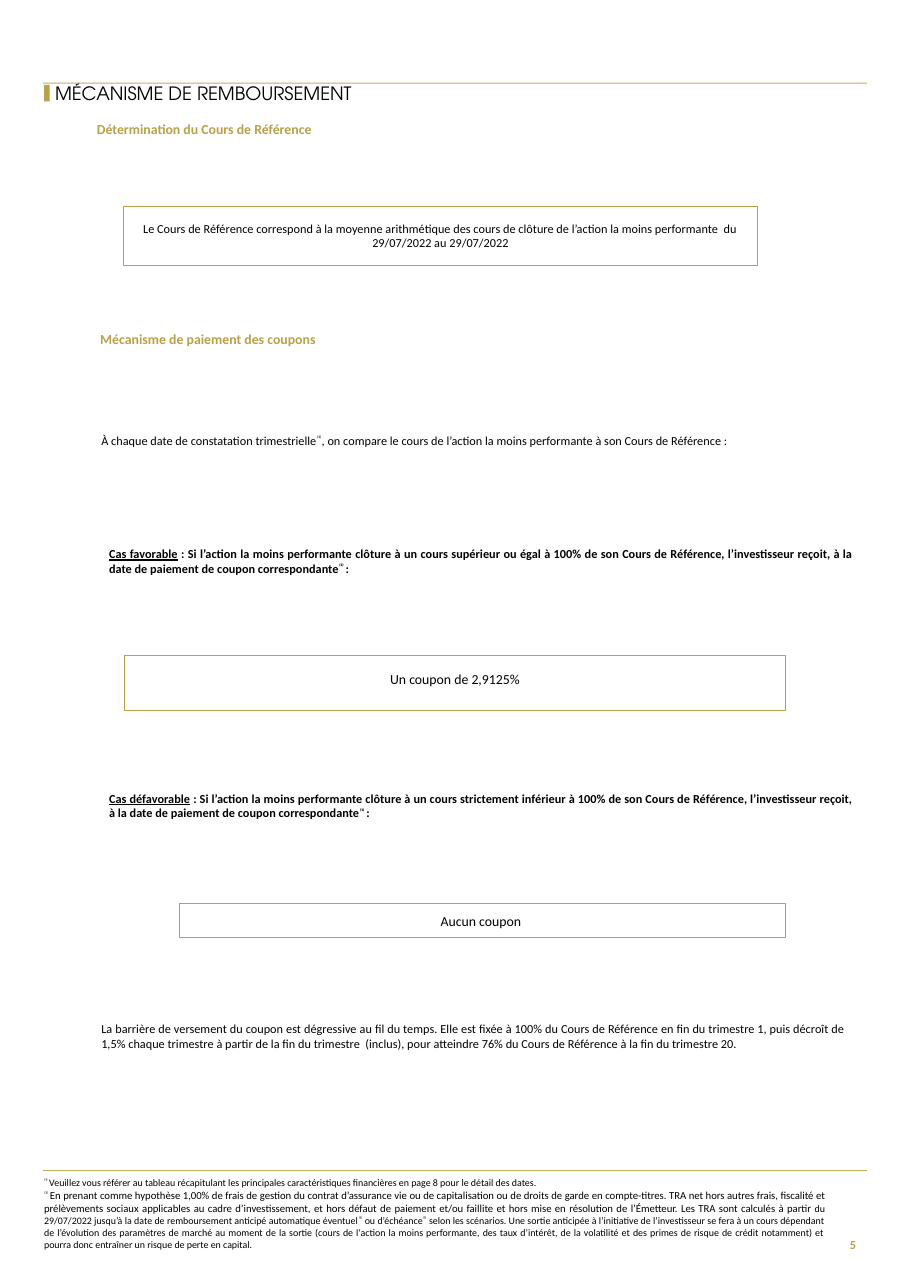
from dataclasses import dataclass, field

import pptx
import pptx.dml.color
import pptx.enum.shapes
import pptx.enum.text
import pptx.util

Inches = pptx.util.Inches
Align = pptx.enum.text.PP_ALIGN
Anchor = pptx.enum.text.MSO_ANCHOR
RECT = pptx.enum.shapes.MSO_SHAPE.RECTANGLE
GOLD = pptx.dml.color.RGBColor(0xB9, 0xA0, 0x49)
PALE = pptx.dml.color.RGBColor(0xC5, 0xAF, 0x5C)
BLACK = pptx.dml.color.RGBColor(0, 0, 0)
WHITE = pptx.dml.color.RGBColor(0xFF, 0xFF, 0xFF)

Area = tuple[float, float, float, float]
NOTE = "⁽¹⁾"


@dataclass
class Piece:
    text: str
    style: dict = field(default_factory=dict)


@dataclass
class Block:
    area: Area
    paras: list[list[Piece]]
    size: float = 8
    style: dict = field(default_factory=dict)
    align: Align = Align.JUSTIFY
    anchor: Anchor = Anchor.TOP
    inset: Area = (0, 0, 0, 0)  # left, top, right, bottom
    border: float = 0
    fill: pptx.dml.color.RGBColor | None = None


def place(shape, area: Area) -> None:
    names = ("left", "top", "width", "height")
    for name, value in zip(names, area):
        setattr(shape, name, Inches(value))


def write(shape, block: Block) -> None:
    frame = shape.text_frame
    frame.word_wrap = True
    frame.auto_size = pptx.enum.text.MSO_AUTO_SIZE.NONE
    frame.vertical_anchor = block.anchor
    for side, value in zip(("left", "top", "right", "bottom"), block.inset):
        setattr(frame, f"margin_{side}", Inches(value))
    for index, pieces in enumerate(block.paras):
        para = frame.add_paragraph() if index else frame.paragraphs[0]
        para.alignment = block.align
        for piece in pieces:
            run = para.add_run()
            run.text = piece.text
            look = {"name": "Calibri", "size": block.size, "color": BLACK}
            look |= block.style | piece.style
            run.font.color.rgb = look.pop("color")
            look["size"] = pptx.util.Pt(look["size"])
            for name, value in look.items():
                setattr(run.font, name, value)
            if piece.text.startswith("⁽"):
                run.font._element.set("baseline", "30000")


def add_bar(slide, area: Area, color: pptx.dml.color.RGBColor) -> None:
    bar = slide.shapes.add_shape(RECT, *map(Inches, area))
    bar.shadow.inherit = False
    bar.fill.solid()
    bar.fill.fore_color.rgb = color
    bar.line.fill.background()


def add_block(slide, block: Block) -> None:
    """Draw a framed box when the block has a border, else a text box."""
    spot = map(Inches, block.area)
    if block.border:
        shape = slide.shapes.add_shape(RECT, *spot)
        shape.shadow.inherit = False
        shape.line.color.rgb = GOLD
        shape.line.width = pptx.util.Pt(block.border)
        if block.fill is None:
            shape.fill.background()
        else:
            shape.fill.solid()
            shape.fill.fore_color.rgb = block.fill
    else:
        shape = slide.shapes.add_textbox(*spot)
    write(shape, block)


def head(area: Area, text: str) -> Block:
    return Block(area, [[Piece(text)]], 9, {"bold": True, "color": GOLD},
                 Align.LEFT)


def case(top: float, name: str, level: str) -> Block:
    text = (f" : Si l’action la moins performante clôture à un cours {level} "
            "à 100% de son Cours de Référence, l’investisseur reçoit, à la "
            "date de paiement de coupon correspondante")
    pieces = [Piece(name, {"underline": True}), Piece(text),
              Piece(NOTE + " "), Piece(": ")]
    return Block((0.99, top, 6.76, 0.27), [pieces], style={"bold": True})


def framed(area: Area, text: str, size: float, inset: Area,
           border: float = 0.75, fill=WHITE) -> Block:
    return Block(area, [[Piece(text)]], size, align=Align.CENTER,
                 anchor=Anchor.MIDDLE, inset=inset, border=border, fill=fill)


TITLE = Block((0.5, 0.73, 4.21, 0.25), [[Piece("MÉCANISME DE REMBOURSEMENT")]],
              12, {"name": "TeX Gyre Adventor"}, Align.LEFT, Anchor.MIDDLE)

BARS = [
    ((0.39, 0.75, 7.48, 0.01), PALE),
    ((0.39, 10.62, 7.48, 0.01), PALE),
    ((0.4, 0.77, 0.05, 0.15), GOLD),
]

BLOCKS = [
    head((0.88, 1.1, 2.97, 0.18), "Détermination du Cours de Référence"),
    framed((1.12, 1.87, 5.76, 0.54),
           "Le Cours de Référence correspond à la moyenne arithmétique des "
           "cours de clôture de l’action la moins performante  du "
           "29/07/2022 au 29/07/2022", 8, (0.12, 0.1, 0.12, 0.1), 0.5, None),
    head((0.91, 3, 6.57, 0.17), "Mécanisme de paiement des coupons"),
    Block((0.92, 3.93, 6.57, 0.13), [[
        Piece("À chaque date de constatation trimestrielle"), Piece(NOTE),
        Piece(", on compare le cours de l’action la moins performante à son "
              "Cours de Référence :")]]),
    case(4.96, "Cas favorable", "supérieur ou égal"),
    framed((1.13, 5.95, 6, 0.5), "Un coupon de 2,9125%", 9,
           (0.12, 0.08, 0.12, 0.15)),
    case(7.18, "Cas défavorable", "strictement inférieur"),
    framed((1.63, 8.2, 5.5, 0.31), "Aucun coupon ", 9,
           (0.12, 0.08, 0.12, 0.08)),
    Block((0.92, 9.27, 6.76, 0.27), [[Piece(
        "La barrière de versement du coupon est dégressive au fil du temps. "
        "Elle est fixée à 100% du Cours de Référence en fin du trimestre 1, "
        "puis décroît de 1,5% chaque trimestre à partir de la fin du "
        "trimestre  (inclus), pour atteindre 76% du Cours de Référence à la "
        "fin du trimestre 20.")]]),
    Block((0.4, 10.68, 7.09, 0.68), [
        [Piece(NOTE + " "),
         Piece("Veuillez vous référer au tableau récapitulant les principales "
               "caractéristiques financières en page 8 pour le détail des "
               "dates. ")],
        [Piece("⁽²⁾ "),
         Piece("En prenant comme hypothèse 1,00% de frais de gestion du "
               "contrat d’assurance vie ou de capitalisation ou de droits de "
               "garde en compte-titres. TRA net hors autres frais, fiscalité "
               "et prélèvements sociaux applicables au cadre "
               "d’investissement, et hors défaut de paiement et/ou faillite "
               "et hors mise en résolution de l’Émetteur. Les TRA sont "
               "calculés à partir ", {"size": 7}),
         Piece("du 29/07/2022 jusqu’à la date de remboursement anticipé "
               "automatique éventuel"),
         Piece(NOTE), Piece(" ou d’échéance"), Piece(NOTE),
         Piece(" selon les scénarios. Une sortie anticipée à l’initiative de "
               "l’investisseur se fera à un cours dépendant de l’évolution "
               "des paramètres de marché au moment de la sortie (cours de "
               "l'action la moins performante, des taux d’intérêt, de la "
               "volatilité et des primes de risque de crédit notamment) et "
               "pourra donc entraîner un risque de perte en capital.")],
    ], 6.5),
    Block((7.48, 11.09, 0.39, 0.42), [[Piece("5")]], 8,
          {"bold": True, "color": GOLD}, Align.RIGHT, Anchor.MIDDLE,
          (0.1, 0.05, 0.1, 0.05)),
]


def main() -> None:
    deck = pptx.Presentation()
    deck.slide_width, deck.slide_height = Inches(8.27), Inches(11.69)
    slide = deck.slides.add_slide(deck.slide_layouts[5])
    title = slide.shapes.title
    place(title, TITLE.area)
    write(title, TITLE)
    title.text_frame.paragraphs[0].line_spacing = 0.9
    for area, color in BARS:
        add_bar(slide, area, color)
    for block in BLOCKS:
        add_block(slide, block)
    deck.save("out.pptx")


if __name__ == "__main__":
    main()
